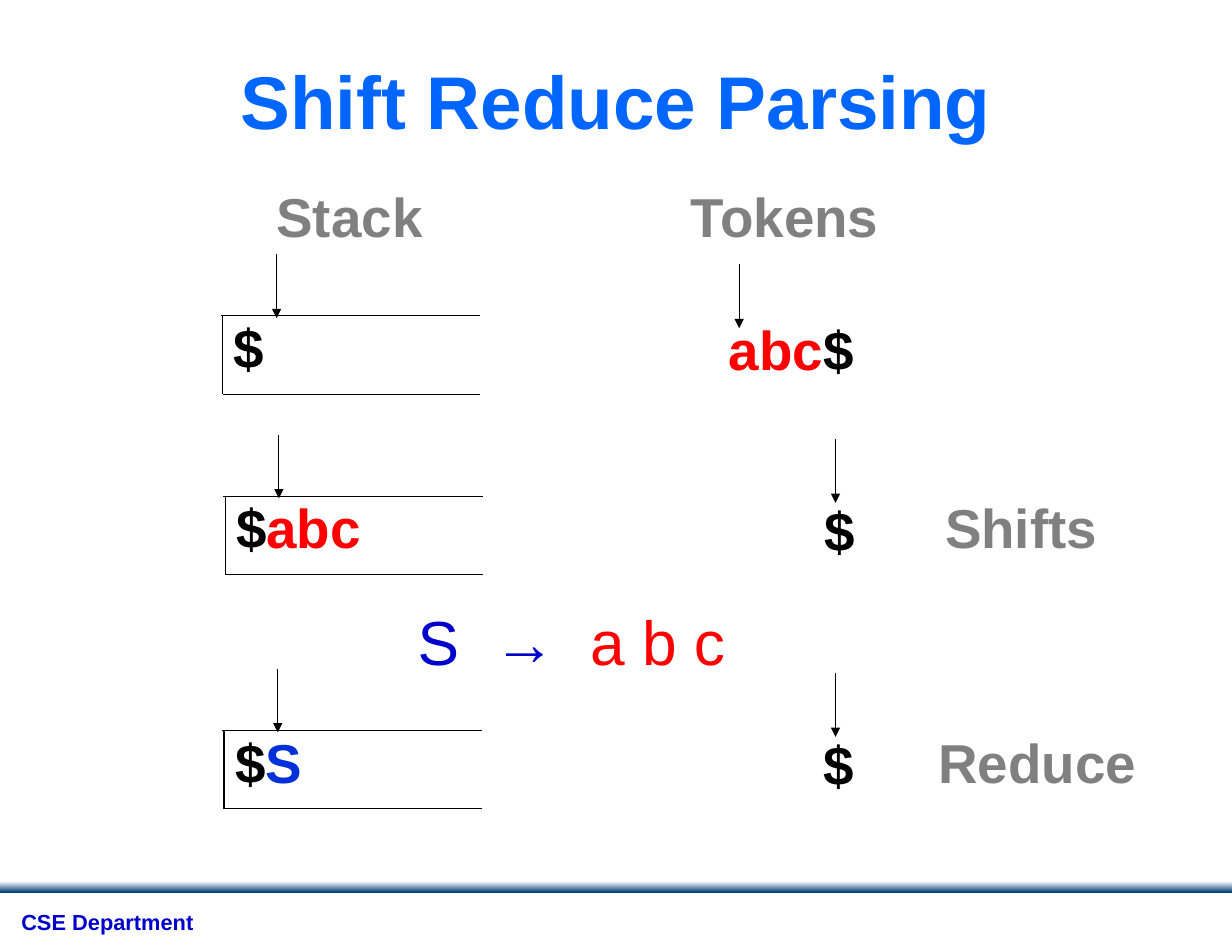
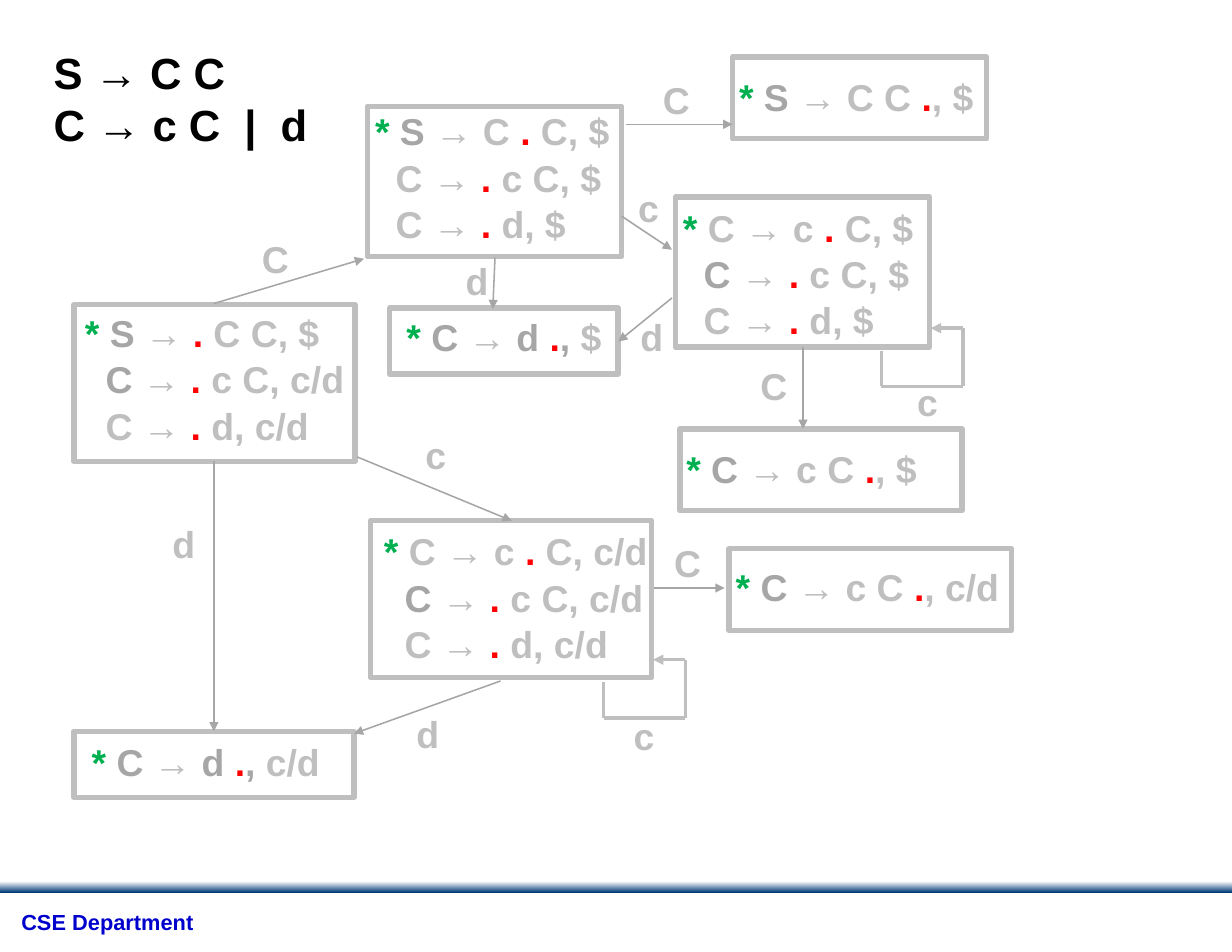
"""Build two slides on shift-reduce parsing and an LR(1) item automaton."""
from dataclasses import dataclass

from pptx import Presentation, util as u
from pptx.dml.color import RGBColor
from pptx.enum import shapes, text
from pptx.oxml import ns, xmlchemy


@dataclass(frozen=True)
class Theme:
    font: str = "Arial"
    title: str = "0066FF"
    navy: str = "0000CC"
    royal: str = "0330D8"
    band_top: str = "FFFFFF"
    band_bottom: str = "003B76"
    black: str = "000000"
    heading: str = "808080"
    dark: str = "A6A6A6"
    light: str = "BFBFBF"
    red: str = "FF0000"
    green: str = "00B050"
    title_size: float = 48
    rule_size: float = 40
    step_size: float = 35.2
    grammar_size: float = 28
    item_size: float = 24
    footer_size: float = 14


T = Theme()


class Deck:
    def __init__(self, theme):
        self.theme = theme
        self.prs = Presentation()
        self.prs.slide_width = u.Inches(11)
        self.prs.slide_height = u.Inches(8.5)
        self.slide = None

    def new_slide(self):
        self.slide = self.prs.slides.add_slide(self.prs.slide_layouts[6])
        band = self.shape((0, 7.87, 11, 0.1))
        band.line.fill.background()
        band.fill.gradient()
        band.fill.gradient_angle = 270
        colors = self.theme.band_top, self.theme.band_bottom
        for stop, position, color in zip(band.fill.gradient_stops, (0, 1), colors):
            stop.position = position
            stop.color.rgb = RGBColor.from_string(color)
        self.text((0.08, 8.08, 1.78, 0.33), "CSE Department", size=self.theme.footer_size,
                  color=self.theme.navy, spacing=0.9, inset=(0.11, 0.06))

    def shape(self, at):
        sp = self.slide.shapes.add_shape(shapes.MSO_SHAPE.RECTANGLE, *map(u.Inches, at))
        sp.shadow.inherit = False
        return sp

    def frame(self, at):
        sp = self.shape(at)
        sp.fill.background()
        sp.line.color.rgb = RGBColor.from_string(self.theme.light)
        sp.line.width = u.Pt(3.5)

    def line(self, start, end, color=T.black, width=0.75, arrow=False):
        cn = self.slide.shapes.add_connector(
            shapes.MSO_CONNECTOR.STRAIGHT, *map(u.Inches, (*start, *end)))
        cn.line.width = u.Pt(width)
        cn.line.color.rgb = RGBColor.from_string(color)
        props = cn._element.spPr
        if arrow:
            tail = xmlchemy.OxmlElement("a:tailEnd")
            tail.set("type", "triangle")
            props.find(ns.qn("a:ln")).append(tail)
        props.append(xmlchemy.OxmlElement("a:effectLst"))

    def text(self, at, content, size=T.step_size, color=T.black, bold=True, align=None,
             spacing=None, after=None, wrap=False, inset=(0.1, 0.05), indents=()):
        box = self.slide.shapes.add_textbox(*map(u.Inches, at))
        tf = box.text_frame
        tf.word_wrap = wrap
        tf.auto_size = text.MSO_AUTO_SIZE.SHAPE_TO_FIT_TEXT
        tf.margin_left = tf.margin_right = u.Inches(inset[0])
        tf.margin_top = tf.margin_bottom = u.Inches(inset[1])
        lines = [[(content, color)]] if isinstance(content, str) else content
        for i, runs in enumerate(lines):
            p = tf.add_paragraph() if i else tf.paragraphs[0]
            p.alignment = align
            p.line_spacing = spacing
            if after:
                p.space_after = u.Pt(after)
            if i < len(indents) and indents[i]:
                p._p.get_or_add_pPr().set("marL", str(u.Inches(indents[i])))
            for words, run_color in runs:
                r = p.add_run()
                r.text = words
                r.font.name = self.theme.font
                r.font.size = u.Pt(size)
                r.font.bold = bold
                r.font.color.rgb = RGBColor.from_string(run_color)

    def step(self, x, y, stack, stack_width, tokens, token_x, token_width, pointer):
        right, bottom = x + 2.3, y + 0.7
        self.line((x + 0.48, y - 0.55), (x + 0.48, y + 0.02), arrow=True)
        self.line((x - 0.02, y), (right, y))
        self.line((x, y), (x, bottom))
        self.line((x, bottom), (right, bottom))
        self.text((x, y, stack_width, 0.63), [stack], spacing=0.9)
        self.text((token_x, y + 0.02, token_width, 0.63), [tokens], spacing=0.9)
        pointer_x, pointer_y = pointer
        self.line((pointer_x, pointer_y), (pointer_x, pointer_y + 0.57), arrow=True)

    def heading(self, at, words):
        self.text(at, words, color=self.theme.heading, spacing=0.9)

    def item(self, rule, head_color):
        t = self.theme
        starred = rule.startswith("*")
        head, body = rule.lstrip("* ").split(" → ")
        before, after = body.split(".")
        runs = [("* ", t.green)] if starred else []
        runs += [(head + " ", head_color), ("→ ", t.light)]
        shifted = before == "d "
        if before:
            runs.append((before, t.dark if shifted else t.light))
        runs.append((".", t.red))
        if shifted:
            runs.append((after[0], t.dark))
            after = after[1:]
        return runs + [(after, t.light)]

    def state(self, frame_at, text_at, rules, heads, wrap=False):
        tones = {"D": self.theme.dark, "L": self.theme.light}
        self.frame(frame_at)
        self.text(text_at, [self.item(rule, tones[h]) for rule, h in zip(rules, heads)],
                  size=self.theme.item_size, after=1, wrap=wrap,
                  indents=[0 if rule.startswith("*") else 0.185 for rule in rules])

    def edge(self, start, end):
        self.line(start, end, color=self.theme.dark, width=1, arrow=True)

    def loop(self, x, y):
        right, bottom, top = x + 0.73, y + 0.32, y - 0.2
        corners = [(x, y), (x, bottom), (right, bottom), (right, top), (x + 0.44, top)]
        for i, (start, end) in enumerate(zip(corners, corners[1:])):
            self.line(start, end, color=self.theme.light, width=2.25, arrow=i == 3)

    def label(self, x, y, symbol):
        width = {"c": 0.39, "d": 0.41, "C": 0.45}[symbol]
        self.text((x, y, width, 0.51), symbol, size=self.theme.item_size, color=self.theme.light)


def shift_reduce(deck):
    deck.new_slide()
    deck.text((0.55, 0.44, 9.9, 0.84), "Shift Reduce Parsing", size=T.title_size,
              color=T.title, align=text.PP_ALIGN.CENTER, wrap=True)
    deck.heading((2.37, 1.65, 1.52, 0.63), "Stack")
    deck.heading((6.07, 1.65, 1.89, 0.64), "Tokens")
    end = ("$", T.black)
    abc = ("abc", T.red)
    deck.step(1.99, 2.82, [end], 0.48, [abc, end], 6.41, 1.33, (6.6, 2.36))
    deck.step(2.01, 4.43, [end, abc], 1.33, [end], 7.26, 0.48, (7.46, 3.92))
    deck.step(2, 6.52, [end, ("S", T.royal)], 0.81, [end], 7.25, 0.48, (7.46, 6.01))
    deck.heading((8.34, 4.43, 1.57, 0.64), "Shifts")
    deck.heading((8.28, 6.52, 1.99, 0.63), "Reduce")
    deck.text((3.63, 5.41, 2.97, 0.71), [[("S  →  ", T.navy), ("a b c", T.red)]],
              size=T.rule_size, bold=False, spacing=0.9)


def automaton(deck):
    deck.new_slide()
    grammar = ["S → C C", "C → c C  |  d"]
    deck.text((0.38, 0.36, 2.49, 1.04), [[(rule, T.black)] for rule in grammar],
              size=T.grammar_size)

    states = [
        ((0.66, 2.72, 2.51, 1.4), (0.66, 2.72, 2.53, 1.34),
         ["* S → . C C, $", "C → . c C, c/d", "C → . d, c/d"], "DDL"),
        ((3.28, 0.95, 2.27, 1.34), (3.25, 0.92, 2.31, 1.34),
         ["* S → C . C, $", "C → . c C, $", "C → . d, $"], "DLL"),
        ((3.31, 4.65, 2.51, 1.4), (3.33, 4.67, 2.57, 1.76),
         ["* C → c . C, c/d", "C → . c C, c/d", "C → . d, c/d"], "LDL"),
        ((6.03, 1.76, 2.27, 1.34), (6, 1.78, 2.27, 1.76),
         ["* C → c . C, $", "C → . c C, $", "C → . d, $"], "LDL"),
        ((0.66, 6.53, 2.5, 0.59), (0.72, 6.55, 2.25, 0.51), ["* C → d ., c/d"], "D"),
        ((3.48, 2.75, 2.04, 0.59), (3.53, 2.76, 1.95, 0.51), ["* C → d ., $"], "D"),
        ((6.54, 0.51, 2.27, 0.73), (6.5, 0.61, 2.38, 0.51), ["* S → C C ., $"], "D", True),
        ((6.51, 4.9, 2.52, 0.73), (6.47, 4.99, 2.56, 0.51), ["* C → c C ., c/d"], "D", True),
        ((6.07, 3.83, 2.52, 0.73), (6.03, 3.93, 2.56, 0.51), ["* C → c C ., $"], "D", True),
    ]
    for state in states:
        deck.state(*state)

    transitions = [
        ((1.91, 4.12), (1.91, 6.53), (1.44, 4.6), "d"),
        ((3.19, 4.08), (4.57, 4.65), (3.7, 3.81), "c"),
        ((1.91, 2.71), (3.25, 2.31), (2.24, 2.06), "C"),
        ((4.47, 6.08), (3.16, 6.55), (3.62, 6.3), "d"),
        ((7.17, 3.1), (7.17, 3.83), (6.69, 3.19), "C"),
        ((5.84, 5.25), (6.47, 5.25), (5.92, 4.77), "C"),
        ((5.59, 1.11), (6.54, 1.11), (5.82, 0.64), "C"),
        ((4.42, 2.3), (4.4, 2.76), (4.06, 2.26), "d"),
        ((6, 2.66), (5.52, 3.05), (5.62, 2.76), "d"),
        ((5.55, 1.93), (6, 2.23), (5.6, 1.6), "c"),
    ]
    for start, end, label_at, symbol in transitions:
        deck.edge(start, end)
        deck.label(*label_at, symbol)

    for loop_at, label_at in [((5.39, 6.09), (5.56, 6.32)), ((7.87, 3.13), (8.09, 3.34))]:
        deck.loop(*loop_at)
        deck.label(*label_at, "c")


def main():
    deck = Deck(T)
    shift_reduce(deck)
    automaton(deck)
    deck.prs.save("out.pptx")


if __name__ == "__main__":
    main()
